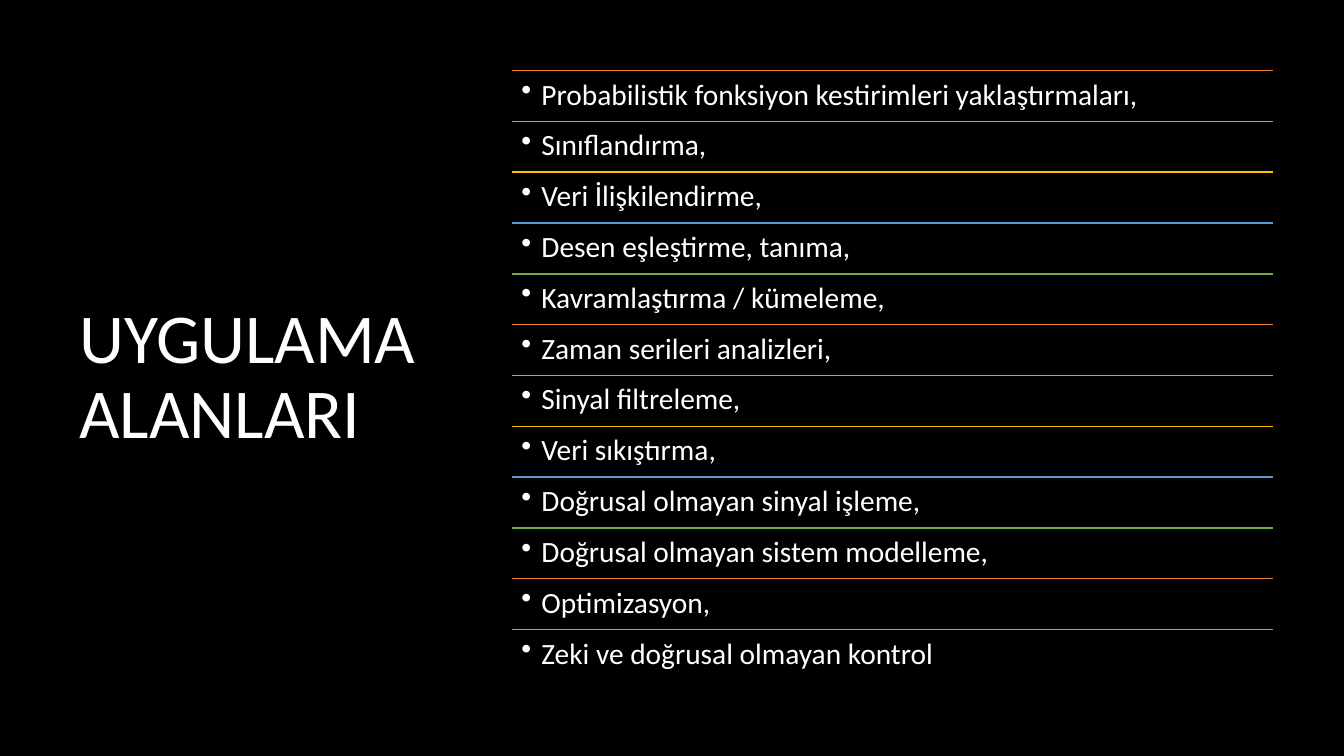
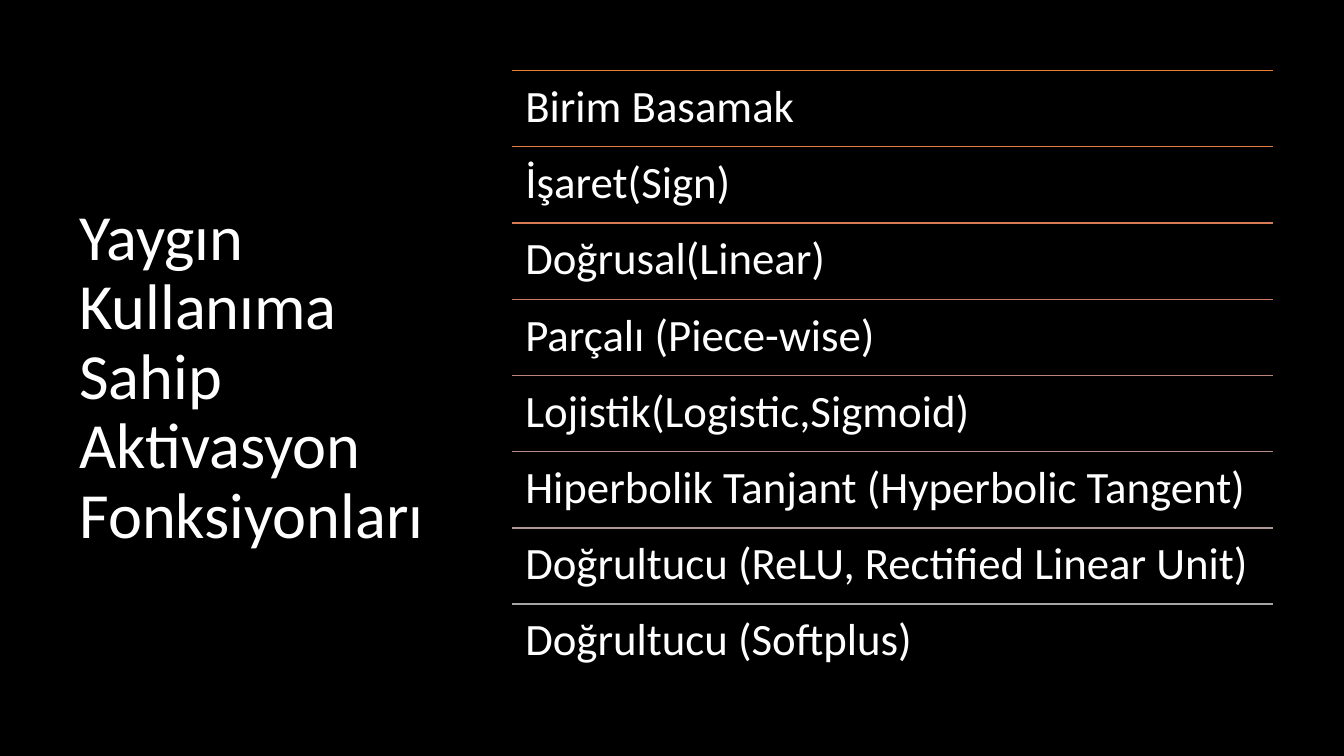
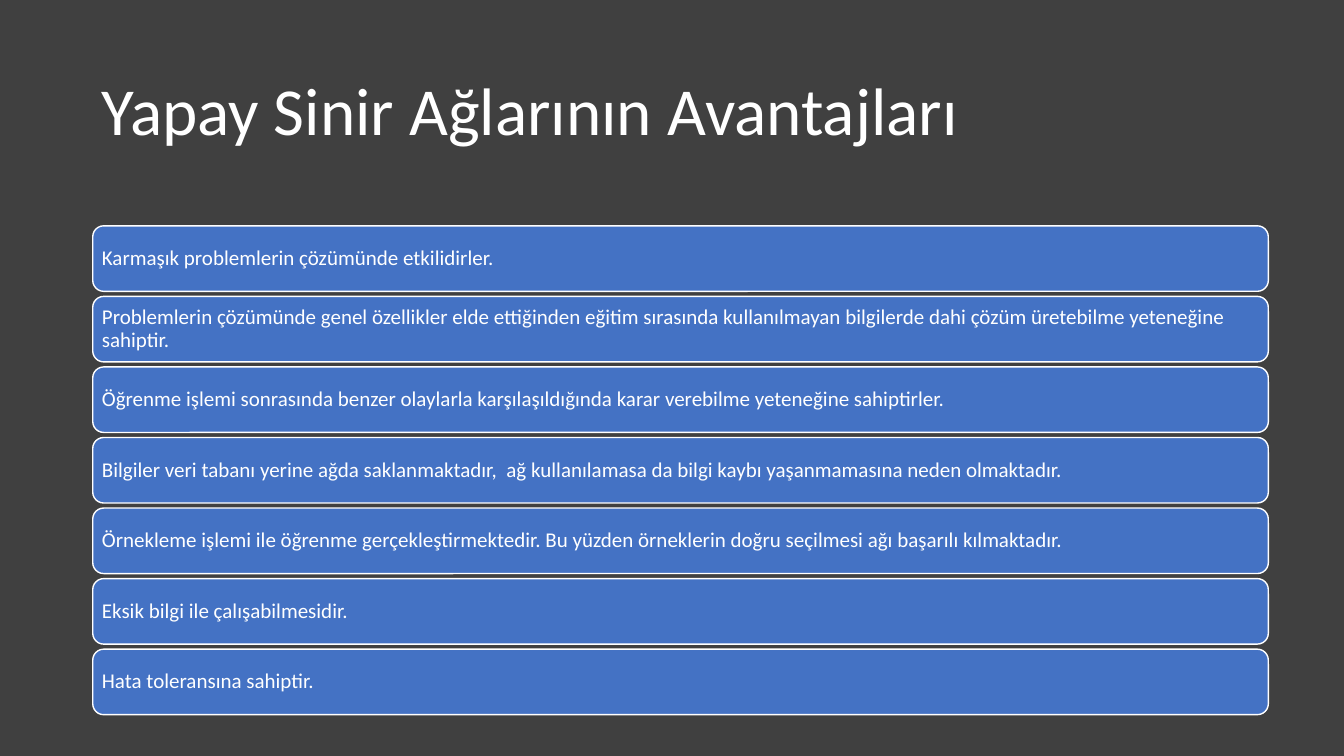
"""Build three slides on the uses, activation functions and advantages of neural networks."""
from colorsys import hls_to_rgb, rgb_to_hls
from itertools import cycle

from lxml import etree
from pptx import Presentation
from pptx.dml.color import RGBColor
from pptx.enum import shapes, text
from pptx.oxml import ns
from pptx.util import Inches, Pt

FONT = "Calibri"
COLORS = {
    "black": "000000", "charcoal": "404040", "white": "FFFFFF", "panel": "4472C4",
    "orange": "ED7D31", "gray": "A5A5A5", "gold": "FFC000", "sky": "5B9BD5", "green": "70AD47",
}
ACCENTS = ["orange", "gray", "gold", "sky", "green"]
SIDE_TITLE = (0.69, 0.7, 3.74, 6.11)
TOP_TITLE = (0.91, 0.4, 11.51, 1.45)
LIST_LEFT, LIST_TOP, LIST_WIDTH, LIST_HEIGHT = 5.08, 0.7, 7.55, 6.05
PANEL_LEFT, PANEL_TOP, PANEL_WIDTH, PANEL_HEIGHT, PANEL_GAP = 0.92, 2.24, 11.66, 0.65, 0.05

APPLICATIONS = [
    "Probabilistik fonksiyon kestirimleri yaklaştırmaları,",
    "Sınıflandırma,",
    "Veri İlişkilendirme,",
    "Desen eşleştirme, tanıma,",
    "Kavramlaştırma / kümeleme,",
    "Zaman serileri analizleri,",
    "Sinyal filtreleme,",
    "Veri sıkıştırma,",
    "Doğrusal olmayan sinyal işleme,",
    "Doğrusal olmayan sistem modelleme,",
    "Optimizasyon,",
    "Zeki ve doğrusal olmayan kontrol",
]
ACTIVATIONS = [
    "Birim Basamak",
    "İşaret(Sign)",
    "Doğrusal(Linear)",
    "Parçalı (Piece-wise)",
    "Lojistik(Logistic,Sigmoid)",
    "Hiperbolik Tanjant (Hyperbolic Tangent)",
    "Doğrultucu (ReLU, Rectified Linear Unit)",
    "Doğrultucu (Softplus)",
]
ADVANTAGES = [
    "Karmaşık problemlerin çözümünde etkilidirler.",
    "Problemlerin çözümünde genel özellikler elde ettiğinden eğitim sırasında kullanılmayan "
    "bilgilerde dahi çözüm üretebilme yeteneğine sahiptir.",
    "Öğrenme işlemi sonrasında benzer olaylarla karşılaşıldığında karar verebilme yeteneğine "
    "sahiptirler.",
    "Bilgiler veri tabanı yerine ağda saklanmaktadır,  ağ kullanılamasa da bilgi kaybı "
    "yaşanmamasına neden olmaktadır.",
    "Örnekleme işlemi ile öğrenme gerçekleştirmektedir. Bu yüzden örneklerin doğru seçilmesi "
    "ağı başarılı kılmaktadır.",
    "Eksik bilgi ile çalışabilmesidir.",
    "Hata toleransına sahiptir.",
]


def blend(start, end, count):
    """Return count hex colours in even HLS steps from start to end."""
    first, last = (rgb_to_hls(*(c / 255 for c in RGBColor.from_string(h))) for h in (start, end))
    steps = []
    for i in range(count):
        hls = (a + (b - a) * i / (count - 1) for a, b in zip(first, last))
        steps.append(str(RGBColor(*(round(c * 255) for c in hls_to_rgb(*hls)))))
    return steps


def add_slide(prs, background):
    """Add a blank slide with a plain background."""
    slide = prs.slides.add_slide(prs.slide_layouts[6])
    slide.background.fill.solid()
    slide.background.fill.fore_color.rgb = RGBColor.from_string(COLORS[background])
    return slide


def write(holder, wording, size, inset, anchor):
    """Write one white, left-aligned paragraph into a shape."""
    frame = holder.text_frame
    frame.word_wrap = True
    frame.vertical_anchor = anchor
    frame.margin_left = frame.margin_right = Inches(inset)
    frame.margin_top = frame.margin_bottom = Inches(inset)
    paragraph = frame.paragraphs[0]
    paragraph.text = wording
    paragraph.alignment = text.PP_ALIGN.LEFT
    paragraph.line_spacing = 0.9
    paragraph.font.name = FONT
    paragraph.font.size = Pt(size)
    paragraph.font.color.rgb = RGBColor.from_string(COLORS["white"])
    return paragraph


def add_title(slide, wording, box, size):
    """Add a vertically centred title."""
    title = slide.shapes.add_textbox(*map(Inches, box))
    write(title, wording, size, 0.1, text.MSO_ANCHOR.MIDDLE)


def add_bullet(paragraph):
    """Give a paragraph a round bullet with a hanging indent."""
    properties = paragraph._p.get_or_add_pPr()
    properties.set("marL", str(Inches(0.2)))
    properties.set("indent", str(Inches(-0.2)))
    etree.SubElement(properties, ns.qn("a:buChar")).set("char", "•")


def add_rule(slide, y, color):
    """Draw a thin rule across the list column."""
    rule = slide.shapes.add_connector(
        shapes.MSO_CONNECTOR.STRAIGHT,
        Inches(LIST_LEFT), Inches(y), Inches(LIST_LEFT + LIST_WIDTH), Inches(y))
    rule.line.color.rgb = RGBColor.from_string(color)
    rule.line.width = Pt(1)
    etree.SubElement(rule._element.spPr, ns.qn("a:effectLst"))


def add_ruled_list(slide, items, colors, size, inset, bulleted=False):
    """Share the list column evenly among items, each under a rule."""
    row_height = LIST_HEIGHT / len(items)
    for i, (item, color) in enumerate(zip(items, colors)):
        y = LIST_TOP + i * row_height
        add_rule(slide, y, color)
        row = slide.shapes.add_textbox(
            Inches(LIST_LEFT), Inches(y), Inches(LIST_WIDTH), Inches(row_height))
        paragraph = write(row, item, size, inset, text.MSO_ANCHOR.TOP)
        if bulleted:
            add_bullet(paragraph)


def add_panels(slide, items):
    """Stack one rounded panel per item."""
    for i, item in enumerate(items):
        y = PANEL_TOP + i * (PANEL_HEIGHT + PANEL_GAP)
        panel = slide.shapes.add_shape(
            shapes.MSO_SHAPE.ROUNDED_RECTANGLE,
            Inches(PANEL_LEFT), Inches(y), Inches(PANEL_WIDTH), Inches(PANEL_HEIGHT))
        panel.shadow.inherit = False
        panel.fill.solid()
        panel.fill.fore_color.rgb = RGBColor.from_string(COLORS["panel"])
        panel.line.color.rgb = RGBColor.from_string(COLORS["white"])
        panel.line.width = Pt(1)
        write(panel, item, 15, 0.06, text.MSO_ANCHOR.MIDDLE)


def main():
    """Build and save the presentation."""
    prs = Presentation()
    prs.slide_width, prs.slide_height = Inches(13.33), Inches(7.5)

    applications = add_slide(prs, "black")
    add_title(applications, "UYGULAMA ALANLARI", SIDE_TITLE, 50)
    accents = cycle(COLORS[name] for name in ACCENTS)
    add_ruled_list(applications, APPLICATIONS, accents, 21, 0.09, bulleted=True)

    activations = add_slide(prs, "black")
    add_title(activations, "Yaygın Kullanıma Sahip Aktivasyon Fonksiyonları", SIDE_TITLE, 46)
    fade = blend(COLORS["orange"], COLORS["gray"], len(ACTIVATIONS))
    add_ruled_list(activations, ACTIVATIONS, fade, 32, 0.13)

    advantages = add_slide(prs, "charcoal")
    add_title(advantages, "Yapay Sinir Ağlarının Avantajları", TOP_TITLE, 48)
    add_panels(advantages, ADVANTAGES)

    prs.save("out.pptx")


if __name__ == "__main__":
    main()
